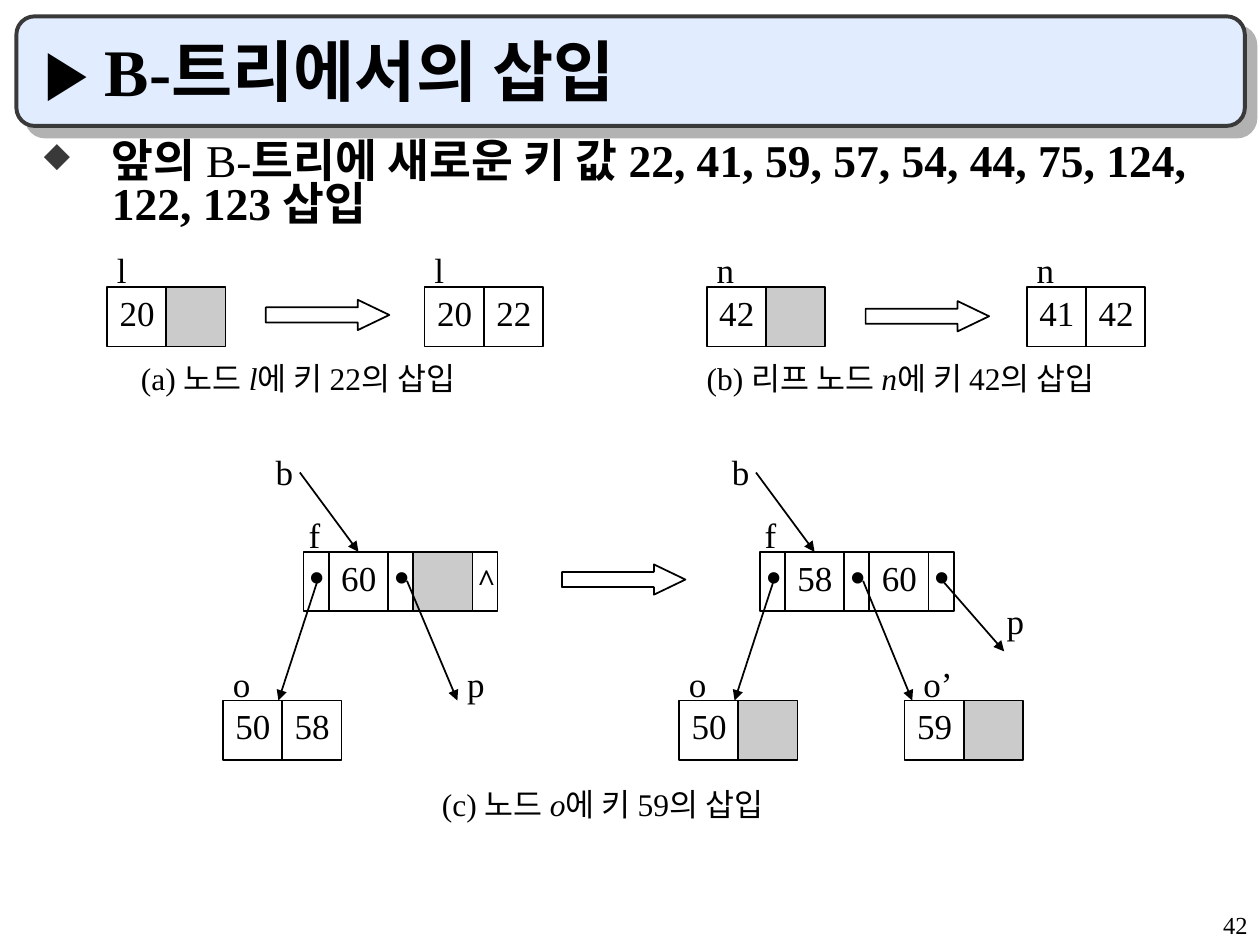
from lxml.etree import SubElement
from pptx import Presentation
from pptx.dml.color import RGBColor
from pptx.enum.shapes import MSO_CONNECTOR, MSO_SHAPE
from pptx.enum.text import MSO_ANCHOR, MSO_AUTO_SIZE, PP_ALIGN
from pptx.oxml.ns import qn
from pptx.util import Inches, Pt

FONT = "Times New Roman"
BLACK, GREY, DARK = "000000", "CBCBCB", "393939"
BANNER_FILL, BANNER_SHADOW = "E1ECFF", "B2B2B2"
KEY_WIDTH, POINTER_WIDTH, CELL_HEIGHT = 0.47, 0.2, 0.47
EMPTY, POINTER, NULL = "", "·", "^"

TITLE = "▶ B-트리에서의 삽입"
SUMMARY = [
    ("앞의 ", "b"),
    ("B-", ""),
    ("트리에 새로운 키 값 22, 41, 59, 57, 54, 44, 75, 124, 122, 123 삽입", "b"),
]
PAGE_NUMBER = "42"

FIGURES = [
    {
        "nodes": [(0.85, 2.28, ["20", EMPTY]), (3.37, 2.28, ["20", "22"])],
        "labels": [("l", 0.83, 1.99, 0.27), ("l", 3.35, 1.99, 0.27)],
        "step": (2.11, 2.38),
        "links": [],
        "entries": [],
        "caption": (1.02, 2.86, 3.05, "(a) 노드 ", "l", "에 키 22의 삽입"),
    },
    {
        "nodes": [(5.61, 2.28, ["42", EMPTY]), (8.15, 2.28, ["41", "42"])],
        "labels": [("n", 5.59, 1.99, 0.34), ("n", 8.13, 1.99, 0.34)],
        "step": (6.87, 2.39),
        "links": [],
        "entries": [],
        "caption": (5.51, 2.86, 3.65, "(b) 리프 노드 ", "n", "에 키 42의 삽입"),
    },
    {
        "nodes": [
            (2.41, 4.38, [POINTER, "60", POINTER, EMPTY, NULL]),
            (1.77, 5.56, ["50", "58"]),
            (6.03, 4.38, [POINTER, "58", POINTER, "60", POINTER]),
            (5.39, 5.56, ["50", EMPTY]),
            (7.18, 5.56, ["59", EMPTY]),
        ],
        "labels": [
            ("b", 2.09, 3.59, 0.34), ("f", 2.35, 4.09, 0.29),
            ("o", 1.75, 5.27, 0.34), ("p", 3.61, 5.27, 0.34),
            ("b", 5.71, 3.59, 0.34), ("f", 5.97, 4.09, 0.29),
            ("o", 5.37, 5.27, 0.34), ("o’", 7.23, 5.27, 0.43),
            ("p", 7.89, 4.77, 0.34),
        ],
        "step": (4.46, 4.48),
        "links": [
            (2.52, 4.61, 2.21, 5.56), (3.23, 4.61, 3.63, 5.56),
            (6.14, 4.61, 5.83, 5.56), (6.85, 4.61, 7.24, 5.56),
            (7.49, 4.62, 7.97, 5.17),
        ],
        "entries": [(2.38, 3.75, 0, 1), (6, 3.75, 2, 1)],
        "caption": (3.41, 6.24, 3.1, "(c) 노드 ", "o", "에 키 59의 삽입"),
    },
]


def colour(value):
    return RGBColor.from_string(value)


def add_runs(paragraph, runs, size):
    for words, style in runs:
        run = paragraph.add_run()
        run.text = words
        run.font.name = FONT
        run.font.size = Pt(size)
        run.font.bold = "b" in style
        run.font.italic = "i" in style
        run.font.color.rgb = colour(BLACK)


def add_label(shapes, left, top, width, height, runs, size):
    label = shapes.add_textbox(Inches(left), Inches(top), Inches(width), Inches(height))
    label.text_frame.word_wrap = False
    label.text_frame.auto_size = MSO_AUTO_SIZE.SHAPE_TO_FIT_TEXT
    paragraph = label.text_frame.paragraphs[0]
    paragraph.line_spacing = 0.8
    add_runs(paragraph, runs, size)


def add_outline(shapes, preset, left, top, width, height, fill=None, line=BLACK, weight=1):
    outline = shapes.add_shape(preset, Inches(left), Inches(top), Inches(width), Inches(height))
    outline.shadow.inherit = False
    if fill:
        outline.fill.solid()
        outline.fill.fore_color.rgb = colour(fill)
    else:
        outline.fill.background()
    outline.line.color.rgb = colour(line)
    outline.line.width = Pt(weight)
    return outline


def add_node(shapes, left, top, contents):
    cells = []
    for content in contents:
        width = POINTER_WIDTH if content in (POINTER, NULL) else KEY_WIDTH
        fill = GREY if content == EMPTY else None
        cells.append(add_outline(shapes, MSO_SHAPE.RECTANGLE, left, top, width, CELL_HEIGHT, fill))
        if content == POINTER:
            add_label(shapes, left - 0.08, top - 0.08, 0.38, 0.64, [(content, "b")], 40)
        elif content == NULL:
            add_label(shapes, left - 0.06, top + 0.07, 0.34, 0.34, [(content, "b")], 18)
        elif content != EMPTY:
            add_label(shapes, left, top + 0.05, 0.48, 0.37, [(content, "")], 20)
        left += width
    return cells


def add_link(shapes, x1, y1, x2, y2):
    link = shapes.add_connector(
        MSO_CONNECTOR.STRAIGHT, Inches(x1), Inches(y1), Inches(x2), Inches(y2))
    link.line.color.rgb = colour(BLACK)
    link.line.width = Pt(1)
    SubElement(link.line._get_or_add_ln(), qn("a:tailEnd"), type="triangle")
    SubElement(link._element.spPr, qn("a:effectLst"))
    return link


def add_figure(slide, figure):
    shapes = slide.shapes.add_group_shape().shapes
    nodes = [add_node(shapes, *node) for node in figure["nodes"]]
    step = add_outline(shapes, MSO_SHAPE.RIGHT_ARROW, *figure["step"], 0.98, 0.24)
    step.adjustments[1] = 1.04
    for name, left, top, width in figure["labels"]:
        add_label(shapes, left, top, width, 0.37, [(name, "")], 20)
    for link in figure["links"]:
        add_link(shapes, *link)
    for x, y, node, cell in figure["entries"]:
        add_link(shapes, x, y, x, y).end_connect(nodes[node][cell], 0)
    left, top, width, before, name, after = figure["caption"]
    add_label(slide.shapes, left, top, width, 0.34,
              [(before, ""), (name, "i"), (after, "")], 18)


def add_heading(slide):
    banner = add_outline(slide.shapes, MSO_SHAPE.ROUNDED_RECTANGLE,
                         0.13, 0.13, 9.75, 0.87, BANNER_FILL, DARK, 2.25)
    effects = banner._element.spPr.find(qn("a:effectLst"))
    shadow = SubElement(effects, qn("a:outerShdw"), dist=str(Pt(8.5)), dir="2700000",
                        algn="ctr", rotWithShape="0")
    SubElement(shadow, qn("a:srgbClr"), val=BANNER_SHADOW)

    title = slide.shapes.title
    title.element.addprevious(banner.element)
    title.left, title.top = Inches(0.25), Inches(0.25)
    title.width, title.height = Inches(9.42), Inches(0.67)
    title.text_frame.auto_size = MSO_AUTO_SIZE.NONE
    title.text_frame.vertical_anchor = MSO_ANCHOR.BOTTOM
    paragraph = title.text_frame.paragraphs[0]
    paragraph.alignment = PP_ALIGN.LEFT
    add_runs(paragraph, [(TITLE, "b")], 38)


def add_summary(slide):
    summary = slide.shapes.add_textbox(Inches(0.25), Inches(1.08), Inches(9.42), Inches(5.83))
    summary.text_frame.word_wrap = True
    paragraph = summary.text_frame.paragraphs[0]
    paragraph.line_spacing = 0.8
    properties = paragraph._p.get_or_add_pPr()
    properties.set("marL", str(Inches(0.54)))
    properties.set("indent", str(Inches(-0.54)))
    bullet_colour = SubElement(properties, qn("a:buClr"))
    SubElement(bullet_colour, qn("a:srgbClr"), val=DARK)
    SubElement(properties, qn("a:buSzPct"), val="75000")
    SubElement(properties, qn("a:buChar"), char="◆")
    add_runs(paragraph, SUMMARY, 26)


def add_page_number(slide):
    number = slide.shapes.add_textbox(Inches(7.92), Inches(7.17), Inches(2.08), Inches(0.33))
    number.text_frame.word_wrap = True
    paragraph = number.text_frame.paragraphs[0]
    paragraph.alignment = PP_ALIGN.RIGHT
    add_runs(paragraph, [(PAGE_NUMBER, "")], 14)


def main():
    deck = Presentation()
    deck.slide_width, deck.slide_height = Inches(10), Inches(7.5)
    slide = deck.slides.add_slide(deck.slide_layouts[5])
    add_heading(slide)
    add_summary(slide)
    for figure in FIGURES:
        add_figure(slide, figure)
    add_page_number(slide)
    deck.save("out.pptx")


if __name__ == "__main__":
    main()
